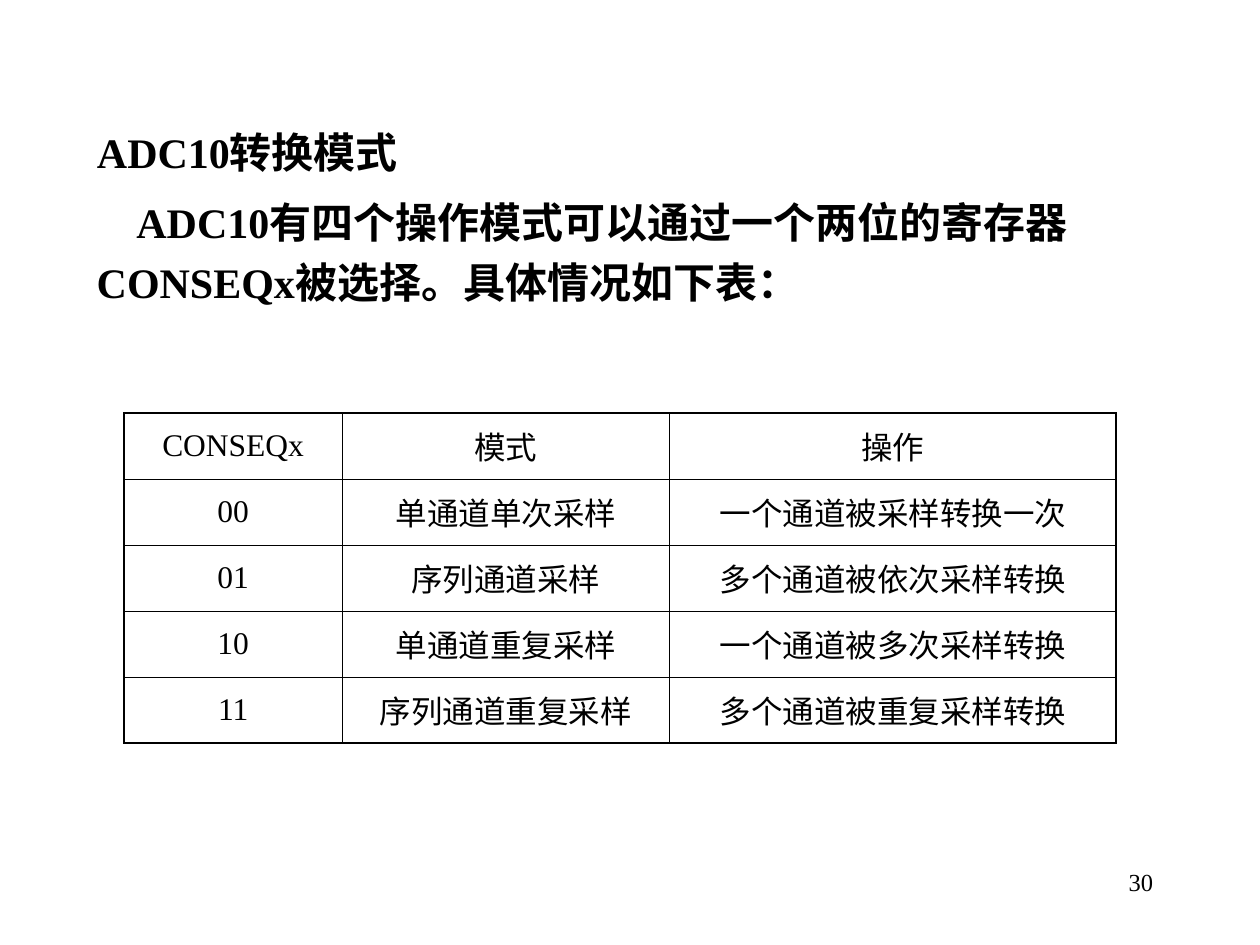
from pptx import Presentation
from pptx.dml.color import RGBColor
from pptx.enum.text import MSO_ANCHOR as Anchor, MSO_AUTO_SIZE as AutoSize, PP_ALIGN as Align
from pptx.oxml.ns import qn
from pptx.util import Cm, Pt
from lxml.etree import SubElement

BLACK = "000000"
FONT = "Times New Roman"
THIN, THICK = Pt(0.45), Pt(1.08)

MODES = [
    ("CONSEQx", "模式", "操作"),
    ("00", "单通道单次采样", "一个通道被采样转换一次"),
    ("01", "序列通道采样", "多个通道被依次采样转换"),
    ("10", "单通道重复采样", "一个通道被多次采样转换"),
    ("11", "序列通道重复采样", "多个通道被重复采样转换"),
]
COLUMN_SHARES = (0.22, 0.33, 0.45)


def color(hex_string):
    return RGBColor.from_string(hex_string)


def write(frame, text, size, bold=False, align=Align.LEFT, spacing=1.0):
    frame.text = text
    paragraph = frame.paragraphs[0]
    paragraph.alignment = align
    paragraph.line_spacing = spacing
    font = paragraph.runs[0].font
    font.name, font.size, font.bold = FONT, Pt(size), bold
    font.color.rgb = color(BLACK)
    return paragraph


def prepare(frame):
    frame.word_wrap = True
    frame.auto_size = AutoSize.NONE
    frame.vertical_anchor = Anchor.TOP


def add_intro(slide, left, top, width):
    heading = slide.shapes.title
    heading.left, heading.top = left, top
    heading.width, heading.height = width, Cm(1.46)
    prepare(heading.text_frame)
    write(heading.text_frame, "ADC10转换模式", 24, bold=True, spacing=1.2)

    summary = slide.shapes.add_textbox(left, top + Cm(1.42), width, Cm(2.7))
    prepare(summary.text_frame)
    paragraph = write(
        summary.text_frame,
        "ADC10有四个操作模式可以通过一个两位的寄存器CONSEQx被选择。具体情况如下表：",
        24, bold=True, spacing=1.2)
    paragraph._p.get_or_add_pPr().set("indent", str(Cm(0.8)))


def draw_borders(cell, widths):
    properties = cell._tc.get_or_add_tcPr()
    for side, width in widths.items():
        line = SubElement(properties, qn(f"a:ln{side}"), w=str(width))
        SubElement(SubElement(line, qn("a:solidFill")), qn("a:srgbClr"), val=BLACK)


def add_mode_table(slide, left, top, width, height):
    last_row, last_column = len(MODES) - 1, len(COLUMN_SHARES) - 1
    table = slide.shapes.add_table(
        len(MODES), len(COLUMN_SHARES), left, top, width, height).table
    table.first_row = table.horz_banding = False
    for column, share in zip(table.columns, COLUMN_SHARES):
        column.width = round(width * share)
    for r, mode in enumerate(MODES):
        for c, text in enumerate(mode):
            cell = table.cell(r, c)
            cell.vertical_anchor = Anchor.MIDDLE
            write(cell.text_frame, text, 18, align=Align.CENTER)
            draw_borders(cell, {
                "L": THICK if c == 0 else THIN,
                "R": THICK if c == last_column else THIN,
                "T": THICK if r == 0 else THIN,
                "B": THICK if r == last_row else THIN,
            })
            cell.fill.background()


def add_page_number(slide, left, top, width, height):
    page = slide.shapes.add_textbox(left, top, width, height)
    prepare(page.text_frame)
    write(page.text_frame, "30", 14, align=Align.RIGHT)


def main():
    deck = Presentation()
    deck.slide_width, deck.slide_height = Cm(25.4), Cm(19.05)
    slide = deck.slides.add_slide(deck.slide_layouts[5])
    add_intro(slide, Cm(1.7), Cm(2.21), Cm(22.2))
    add_mode_table(slide, Cm(2.5), Cm(8.33), Cm(20), Cm(6.65))
    add_page_number(slide, Cm(18.2), Cm(17.35), Cm(5.3), Cm(1.27))
    deck.save("out.pptx")


if __name__ == "__main__":
    main()
